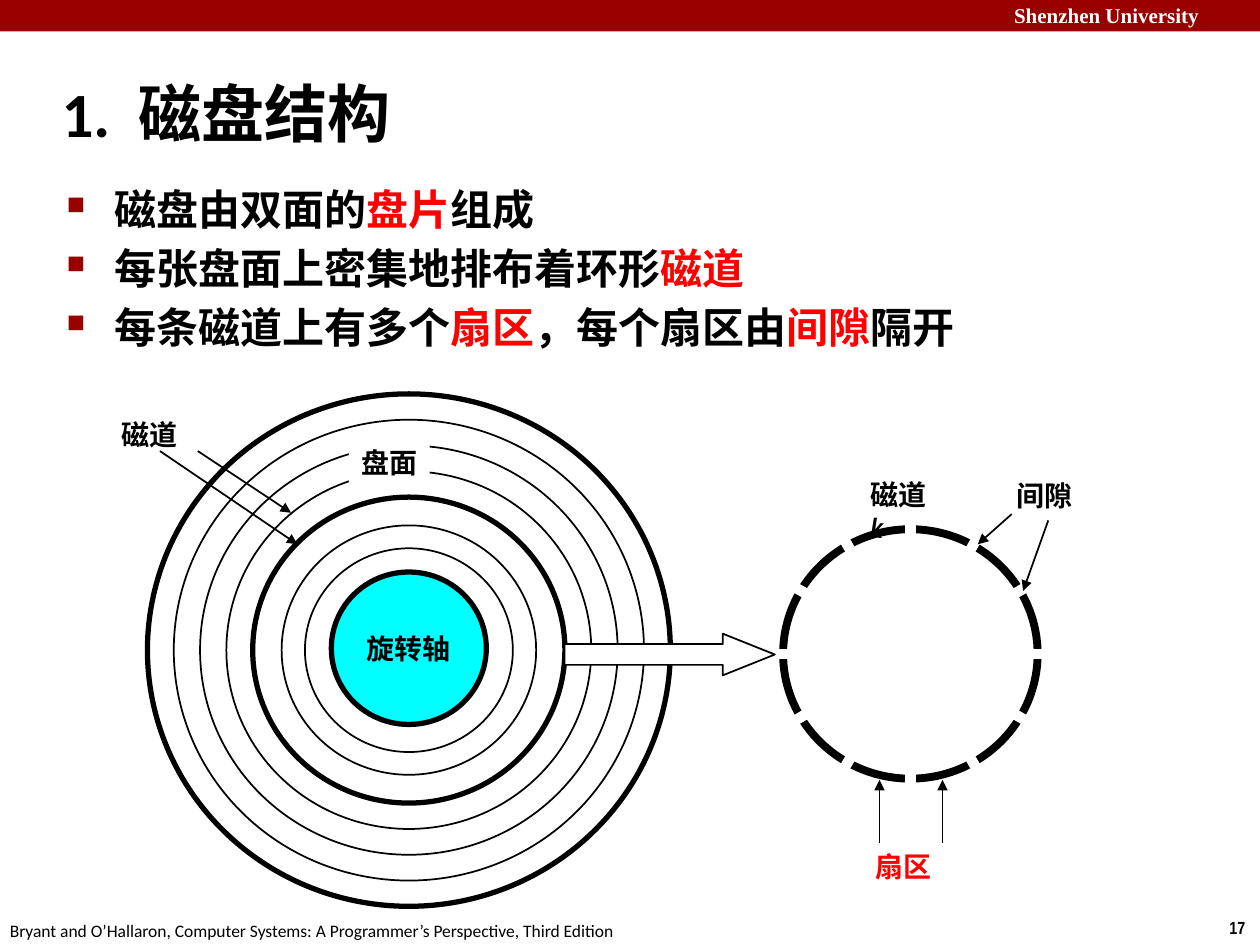
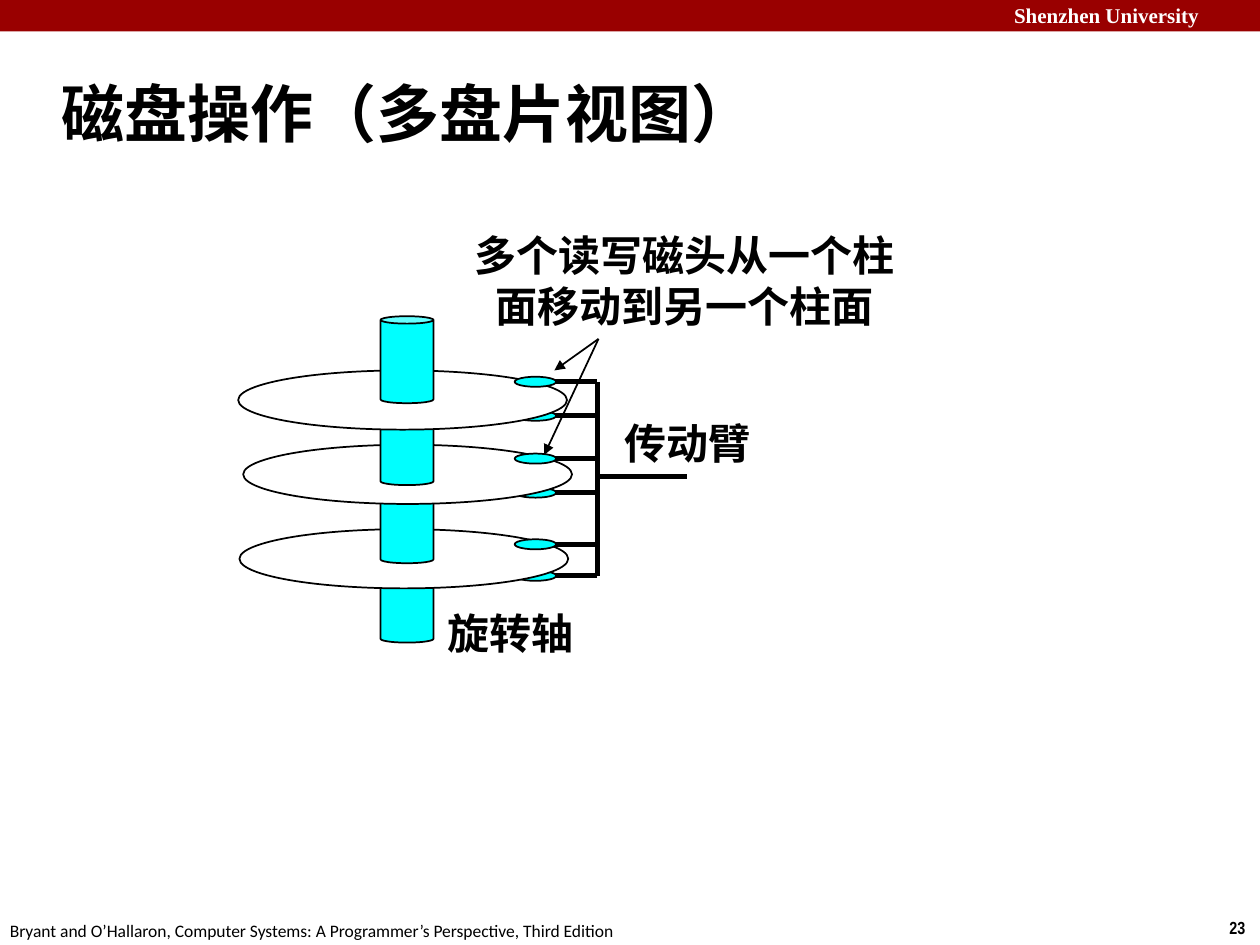
import dataclasses
import math

import lxml.etree
import pptx
import pptx.dml.color
import pptx.enum.lang
import pptx.enum.shapes
import pptx.enum.text
import pptx.oxml.ns
import pptx.util

SHAPE = pptx.enum.shapes.MSO_SHAPE
ANCHOR = pptx.enum.text.MSO_ANCHOR
ALIGN = pptx.enum.text.PP_ALIGN


@dataclasses.dataclass(frozen=True)
class Theme:
    """Colours, fonts and sizes shared by the slides."""
    band: str = "990000"
    ink: str = "000000"
    paper: str = "FFFFFF"
    accent: str = "FF0000"
    metal: str = "00FFFF"
    body_font: str = "Calibri"
    label_font: str = "Arial Narrow"
    school_font: str = "Times New Roman"
    title: float = 36
    body: float = 24
    label: float = 16
    school: float = 12
    footer: float = 10
    thin: float = 1
    bold: float = 3
    ring: float = 4.5
    gap: float = 6


THEME = Theme()
COLUMNS, ROWS = 100, 75
CELL = pptx.util.Inches(0.1)


@dataclasses.dataclass(frozen=True)
class Box:
    """A region of the slide measured in grid columns and rows."""
    left: float
    top: float
    width: float
    height: float

    def inner(self, left, top, width, height):
        """Return a box placed relative to this one."""
        return Box(self.left + left, self.top + top, width, height)

    def around(self, x, y, width, height):
        """Return a box centred on a local point."""
        return self.inner(x - width / 2, y - height / 2, width, height)

    def emu(self):
        """Return left, top, width and height in slide units."""
        return [round(n * CELL) for n in (self.left, self.top, self.width, self.height)]


def rgb(colour):
    """Turn a hex string into a colour."""
    return pptx.dml.color.RGBColor.from_string(colour)


def add_run(paragraph, text, size, font, colour=THEME.ink, bold=True, italic=None, spacing=None):
    """Append one formatted run."""
    run = paragraph.add_run()
    run.text = text
    run.font.size = pptx.util.Pt(size)
    run.font.name = font
    run.font.bold = bold
    run.font.italic = italic
    run.font.color.rgb = rgb(colour)
    if max(text) > "一":
        run.font.language_id = pptx.enum.lang.MSO_LANGUAGE_ID.SIMPLIFIED_CHINESE
    if spacing:
        run.font._element.set("spc", str(spacing * 100))


def write(shape, runs, size, font, align=ALIGN.LEFT, anchor=ANCHOR.TOP, wrap=False):
    """Fill a shape with one paragraph of (text, options) runs."""
    frame = shape.text_frame
    frame.word_wrap = wrap
    frame.vertical_anchor = anchor
    paragraph = frame.paragraphs[0]
    paragraph.alignment = align
    for text, options in runs:
        add_run(paragraph, text, size, font, **options)


def add_text(slide, box, runs, size=THEME.label, font=THEME.label_font, **layout):
    """Add a text box holding one paragraph."""
    write(slide.shapes.add_textbox(*box.emu()), runs, size, font, **layout)


def add_figure(slide, kind, box, fill=None, line=THEME.thin):
    """Add a flat preset shape with optional fill and outline."""
    figure = slide.shapes.add_shape(kind, *box.emu())
    figure.shadow.inherit = False
    if fill:
        figure.fill.solid()
        figure.fill.fore_color.rgb = rgb(fill)
    else:
        figure.fill.background()
    if line:
        figure.line.color.rgb = rgb(THEME.ink)
        figure.line.width = pptx.util.Pt(line)
    else:
        figure.line.fill.background()
    return figure


def add_line(slide, box, start, end, width=THEME.thin, colour=THEME.ink, arrow=False):
    """Draw a straight line between two points local to the box."""
    ends = [round(n * CELL) for x, y in (start, end) for n in (box.left + x, box.top + y)]
    line = slide.shapes.add_connector(pptx.enum.shapes.MSO_CONNECTOR.STRAIGHT, *ends)
    line.line.color.rgb = rgb(colour)
    line.line.width = pptx.util.Pt(width)
    qn = pptx.oxml.ns.qn
    if arrow:
        lxml.etree.SubElement(line.line._get_or_add_ln(), qn("a:tailEnd"), type="triangle")
    lxml.etree.SubElement(line._element.spPr, qn("a:effectLst"))


def frame_slide(slide, box, number):
    """Place the top band, the school name, the page number and the citation."""
    add_figure(slide, SHAPE.RECTANGLE, box.inner(0, 0, box.width, 2.5), THEME.band, line=None)
    add_text(slide, box.inner(79.5, -0.3, 21.2, 3), [("Shenzhen University", {"colour": THEME.paper})],
             THEME.school, THEME.school_font, wrap=True)
    add_text(slide, box.inner(96.6, 72.3, 3.4, 2.7), [(number, {})], THEME.footer)
    citation = "Bryant and O’Hallaron, Computer Systems: A Programmer’s Perspective, Third Edition"
    add_text(slide, box.inner(-0.2, 72.5, 50.9, 2.7), [(citation, {"bold": False})],
             THEME.footer, THEME.body_font)


def add_title(slide, box, runs):
    """Place the slide title."""
    add_text(slide, box, runs, THEME.title, THEME.body_font, anchor=ANCHOR.MIDDLE, wrap=True)


def bullet_list(slide, box, points):
    """List bulleted points whose odd pieces are highlighted."""
    frame = slide.shapes.add_textbox(*box.emu()).text_frame
    frame.word_wrap = True
    qn = pptx.oxml.ns.qn
    for index, pieces in enumerate(points):
        paragraph = frame.add_paragraph() if index else frame.paragraphs[0]
        if index:
            paragraph.space_before = pptx.util.Pt(THEME.body * 0.2)
        properties = paragraph._p.get_or_add_pPr()
        indent = pptx.util.Inches(0.38)
        properties.set("marL", str(indent))
        properties.set("indent", str(-indent))
        colour = lxml.etree.SubElement(properties, qn("a:buClr"))
        lxml.etree.SubElement(colour, qn("a:srgbClr"), val=THEME.band)
        lxml.etree.SubElement(properties, qn("a:buSzPct"), val="60000")
        lxml.etree.SubElement(properties, qn("a:buChar"), char="■")
        for place, piece in enumerate(pieces):
            add_run(paragraph, piece, THEME.body, THEME.body_font,
                    THEME.accent if place % 2 else THEME.ink)


def disk_surface(slide, box):
    """Draw the concentric tracks around the spindle."""
    x, y = 24.45, 20.6
    diameters = [41.5 - 4.18 * step for step in range(5)] + [20.2, 16.5]
    for index, diameter in enumerate(diameters):
        add_figure(slide, SHAPE.OVAL, box.around(x, y, diameter, diameter * 0.98),
                   line=THEME.bold if index in (0, 4) else THEME.thin)
    spindle = add_figure(slide, SHAPE.OVAL, box.around(x, y - 0.15, 12.3, 12.1), THEME.metal, THEME.bold)
    write(spindle, [("旋转轴", {})], THEME.label, THEME.label_font, ALIGN.CENTER, ANCHOR.MIDDLE)
    surface = add_figure(slide, SHAPE.RECTANGLE, box.inner(19.7, 3.9, 6.4, 3.7), THEME.paper, line=None)
    write(surface, [("盘面", {})], THEME.label, THEME.label_font)
    add_line(slide, box, (4.7, 4.8), (15.6, 12.2), arrow=True)
    add_line(slide, box, (7.7, 4.8), (15.1, 9.7), arrow=True)
    add_text(slide, box.inner(0.7, 1.6, 6.4, 3.7), [("磁道", {})], anchor=ANCHOR.MIDDLE)


def track_sectors(slide, box):
    """Draw one track cut into sectors by twelve gaps."""
    x, y, reach = 12.25, 14.9, 11
    add_figure(slide, SHAPE.OVAL, box.around(x, y, 20.2, 19.8), line=THEME.ring)
    add_text(slide, box.inner(8.1, 0.4, 7, 3.7), [("磁道", {}), ("k", {"italic": True})], wrap=True)
    for step in range(12):
        angle = math.radians(30 * step)
        rim = (x + reach * math.cos(angle), y + reach * math.sin(angle))
        add_line(slide, box, (x, y), rim, THEME.gap, THEME.paper)
    add_text(slide, box.inner(8.5, 29.9, 6.5, 3.7), [("扇区", {"colour": THEME.accent})],
             anchor=ANCHOR.MIDDLE)
    for sector in (9.8, 14.8):
        add_line(slide, box, (sector, 29.9), (sector, 24.9), arrow=True)
    add_text(slide, box.inner(19.7, 0.5, 6.4, 3.7), [("间隙", {})], anchor=ANCHOR.MIDDLE)
    add_line(slide, box, (20.3, 3.8), (17.6, 6.2), arrow=True)
    add_line(slide, box, (23.2, 4.3), (21.2, 9.9), arrow=True)


def zoom_arrow(slide, box):
    """Draw the block arrow from the disk to the single track."""
    arrow = add_figure(slide, SHAPE.RIGHT_ARROW, box, THEME.paper)
    arrow.adjustments[0] = 0.5
    arrow.adjustments[1] = 1.25


def arm_with_head(slide, box, y):
    """Draw one arm and the read/write head at its tip."""
    add_line(slide, box, (29.4, y), (24.4, y), THEME.bold)
    add_figure(slide, SHAPE.OVAL, box.around(24.5, y, 3.3, 0.8), THEME.metal)


def spindle_length(slide, box, y):
    """Draw one visible length of the spindle."""
    can = add_figure(slide, SHAPE.CAN, box.inner(12.2, y, 4.2, 6.9), THEME.metal)
    can.adjustments[0] = 0.14


def platter_stack(slide, box):
    """Draw the platters from the bottom up, with arms, heads and labels."""
    platters = [(1, 25, 26.2, 28.7), (1.3, 18.3, 19.4, 22.1), (0.9, 12.4, 13.3, 16)]
    spindles = [27.1, 20.8, 14.6, 8.1]
    for _, _, _, lower in platters:
        arm_with_head(slide, box, lower)
    for (left, top, _, _), spindle in zip(platters, spindles):
        spindle_length(slide, box, spindle)
        add_figure(slide, SHAPE.OVAL, box.inner(left, top, 26.1, 4.7), THEME.paper)
    spindle_length(slide, box, spindles[-1])
    for _, _, upper, _ in platters:
        arm_with_head(slide, box, upper)
    add_line(slide, box, (29.45, 13.3), (29.45, 28.7), THEME.bold)
    add_line(slide, box, (29.5, 20.8), (36.5, 20.8), THEME.bold)
    labels = [("传动臂", (30.5, 15.6, 12.2, 5), False),
              ("多个读写磁头从一个柱面移动到另一个柱面", (17.5, 0.7, 37.7, 9.1), True),
              ("旋转轴", (16.4, 30.7, 12.2, 5), False)]
    for text, place, wrap in labels:
        add_text(slide, box.inner(*place), [(text, {})], THEME.body,
                 align=ALIGN.CENTER, anchor=ANCHOR.MIDDLE, wrap=wrap)
    for head in ((26, 12.4), (25.2, 19.1)):
        add_line(slide, box, (29.5, 9.9), head, arrow=True)


def main():
    """Build both slides and save them."""
    deck = pptx.Presentation()
    deck.slide_width, deck.slide_height = COLUMNS * CELL, ROWS * CELL
    page = Box(0, 0, COLUMNS, ROWS)
    title_box = page.inner(3.9, 4.8, 83, 8.3)
    structure, operation = [deck.slides.add_slide(deck.slide_layouts[6]) for _ in range(2)]

    frame_slide(structure, page, "17")
    add_title(structure, title_box, [("1.", {}), (" ", {"spacing": 8}), ("磁盘结构", {})])
    bullet_list(structure, page.inner(4.3, 14.1, 86.4, 54.4), [
        ("磁盘由双面的", "盘片", "组成"),
        ("每张盘面上密集地排布着环形", "磁道"),
        ("每条磁道上有多个", "扇区", "，每个扇区由", "间隙", "隔开"),
    ])
    disk_surface(structure, page.inner(8, 31, 46, 41))
    track_sectors(structure, page.inner(60, 37, 27, 34))
    zoom_arrow(structure, page.inner(44.8, 50.3, 16.7, 3.3))

    frame_slide(operation, page, "23")
    add_title(operation, title_box, [("磁盘操作（多盘片视图）", {})])
    platter_stack(operation, page.inner(18, 17, 56, 37))
    deck.save("out.pptx")


if __name__ == "__main__":
    main()
